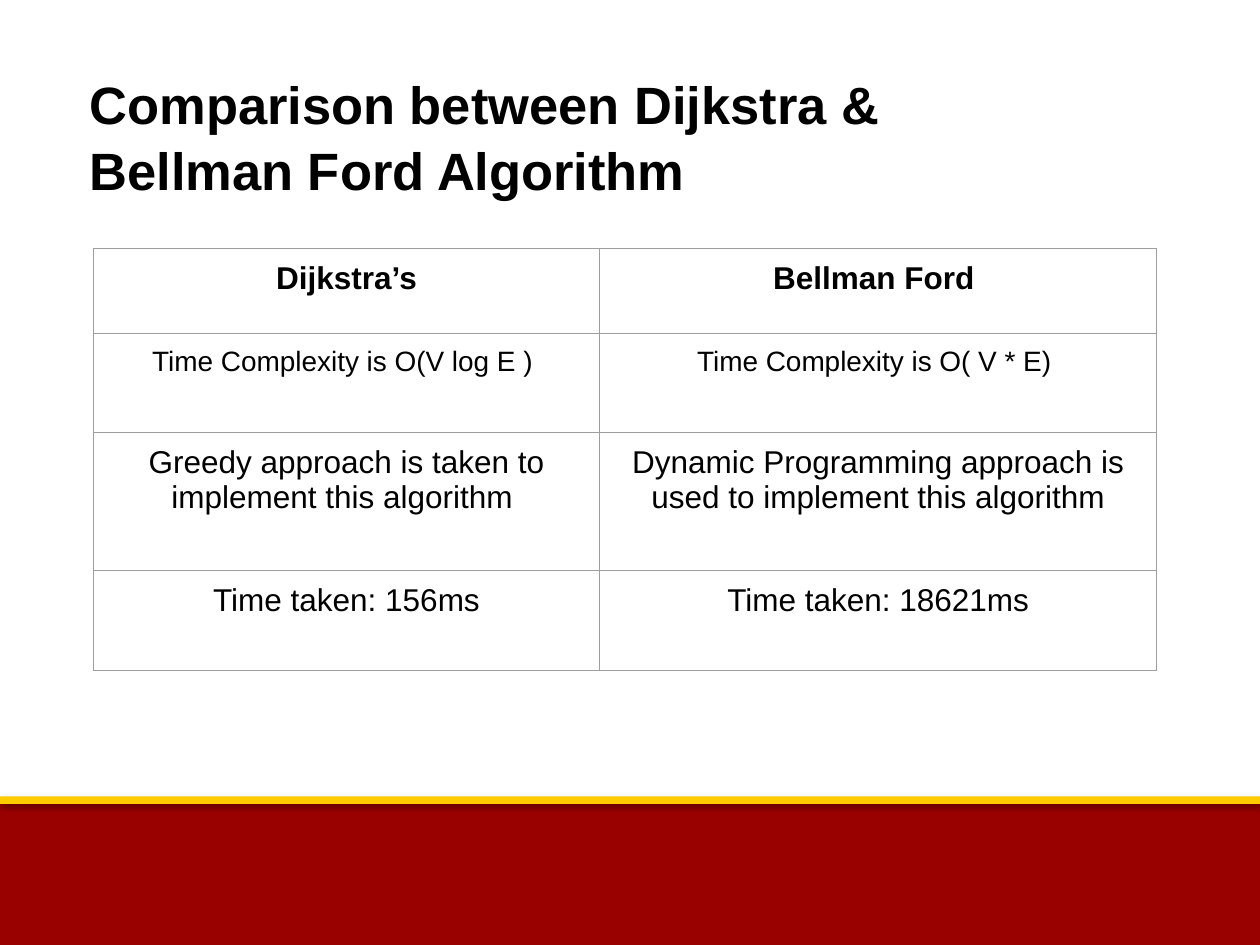
import pptx
import pptx.dml.color
import pptx.enum.shapes
import pptx.enum.text
import pptx.oxml
import pptx.oxml.ns
import pptx.util

Inches = pptx.util.Inches
Pt = pptx.util.Pt


def color(value):
    """Turn a hex string into a colour."""
    return pptx.dml.color.RGBColor.from_string(value)


def apply(target, values):
    """Set attributes of the target from a dict."""
    for attribute, value in values.items():
        setattr(target, attribute, value)


class ComparisonSlide:
    """Holds the style and the slide that is being built."""

    ink = "000000"
    grid = "9E9E9E"
    font = "Arial"
    inset = {f"margin_{side}": Inches(0.1) for side in ("left", "right", "top", "bottom")}

    def __init__(self, presentation):
        """Add a title-only slide."""
        self.slide = presentation.slides.add_slide(presentation.slide_layouts[5])

    def format_paragraph(self, paragraph, size, bold, alignment):
        """Format one paragraph."""
        paragraph.alignment = alignment
        apply(paragraph.font, {"name": self.font, "size": Pt(size), "bold": bold})
        paragraph.font.color.rgb = color(self.ink)

    def title(self, text, left, top, width, height):
        """Fill and place the title placeholder."""
        heading = self.slide.shapes.title
        apply(heading, {"left": Inches(left), "top": Inches(top),
                        "width": Inches(width), "height": Inches(height)})
        frame = heading.text_frame
        frame.text = text
        apply(frame, {**self.inset, "word_wrap": True,
                      "auto_size": pptx.enum.text.MSO_AUTO_SIZE.NONE,
                      "vertical_anchor": pptx.enum.text.MSO_ANCHOR.MIDDLE})
        frame.paragraphs[0].line_spacing = 1.04
        self.format_paragraph(frame.paragraphs[0], 30, True,
                              pptx.enum.text.PP_ALIGN.LEFT)

    def band(self, fill, top, height, distance, opacity):
        """Draw a full-width band with a soft shadow below it."""
        band = self.slide.shapes.add_shape(
            pptx.enum.shapes.MSO_SHAPE.RECTANGLE,
            Inches(0), Inches(top), Inches(10), Inches(height))
        band.shadow.inherit = False
        band.fill.solid()
        band.fill.fore_color.rgb = color(fill)
        band.line.fill.background()
        effects = band._element.spPr.find(pptx.oxml.ns.qn("a:effectLst"))
        effects.append(pptx.oxml.parse_xml(
            f'<a:outerShdw {pptx.oxml.ns.nsdecls("a")} blurRad="{Pt(3.1)}" '
            f'dist="{Pt(distance)}" dir="5400000" rotWithShape="0">'
            f'<a:srgbClr val="{self.ink}"><a:alpha val="{opacity * 1000}"/></a:srgbClr>'
            '</a:outerShdw>'))

    def border(self, cell):
        """Outline a cell on all four sides."""
        properties = cell._tc.get_or_add_tcPr()
        for side in "LRTB":
            properties.append(pptx.oxml.parse_xml(
                f'<a:ln{side} {pptx.oxml.ns.nsdecls("a")} w="{Pt(0.75)}">'
                f'<a:solidFill><a:srgbClr val="{self.grid}"/></a:solidFill></a:ln{side}>'))

    def table(self, rows, left, top, widths, heights, sizes):
        """Draw the comparison table with a bold first row."""
        table = self.slide.shapes.add_table(
            len(rows), len(widths), Inches(left), Inches(top),
            Inches(sum(widths)), Inches(sum(heights))).table
        apply(table, {"first_row": False, "horz_banding": False})
        for column, width in zip(table.columns, widths):
            column.width = Inches(width)
        for index, (row, texts) in enumerate(zip(table.rows, rows)):
            row.height = Inches(heights[index])
            for cell, text in zip(row.cells, texts):
                cell.text = text
                apply(cell, self.inset)
                self.border(cell)
                cell.fill.background()
                self.format_paragraph(cell.text_frame.paragraphs[0], sizes[index],
                                      index == 0, pptx.enum.text.PP_ALIGN.CENTER)


def main():
    """Build and save the slide."""
    presentation = pptx.Presentation()
    apply(presentation, {"slide_width": Inches(10), "slide_height": Inches(7.5)})
    comparison = ComparisonSlide(presentation)
    comparison.band("990000", 6.35, 1.15, 1.8, 32)
    comparison.band("FFCC00", 6.32, 0.06, 1.6, 35)
    comparison.title("Comparison between Dijkstra & Bellman Ford Algorithm",
                     0.61, 0.47, 8.16, 1.21)
    algorithms = [
        ("Dijkstra’s", "Bellman Ford "),
        ("Time Complexity is O(V log E ) ", "Time Complexity is O( V * E) "),
        ("Greedy approach is taken to implement this algorithm ",
         "Dynamic Programming approach is used to implement this algorithm"),
        ("Time taken: 156ms", "Time taken: 18621ms"),
    ]
    comparison.table(algorithms, 0.74, 1.97, widths=[4.02, 4.42],
                     heights=[0.68, 0.78, 1.1, 0.79], sizes=[18, 16, 18, 18])
    presentation.save("out.pptx")


if __name__ == "__main__":
    main()
